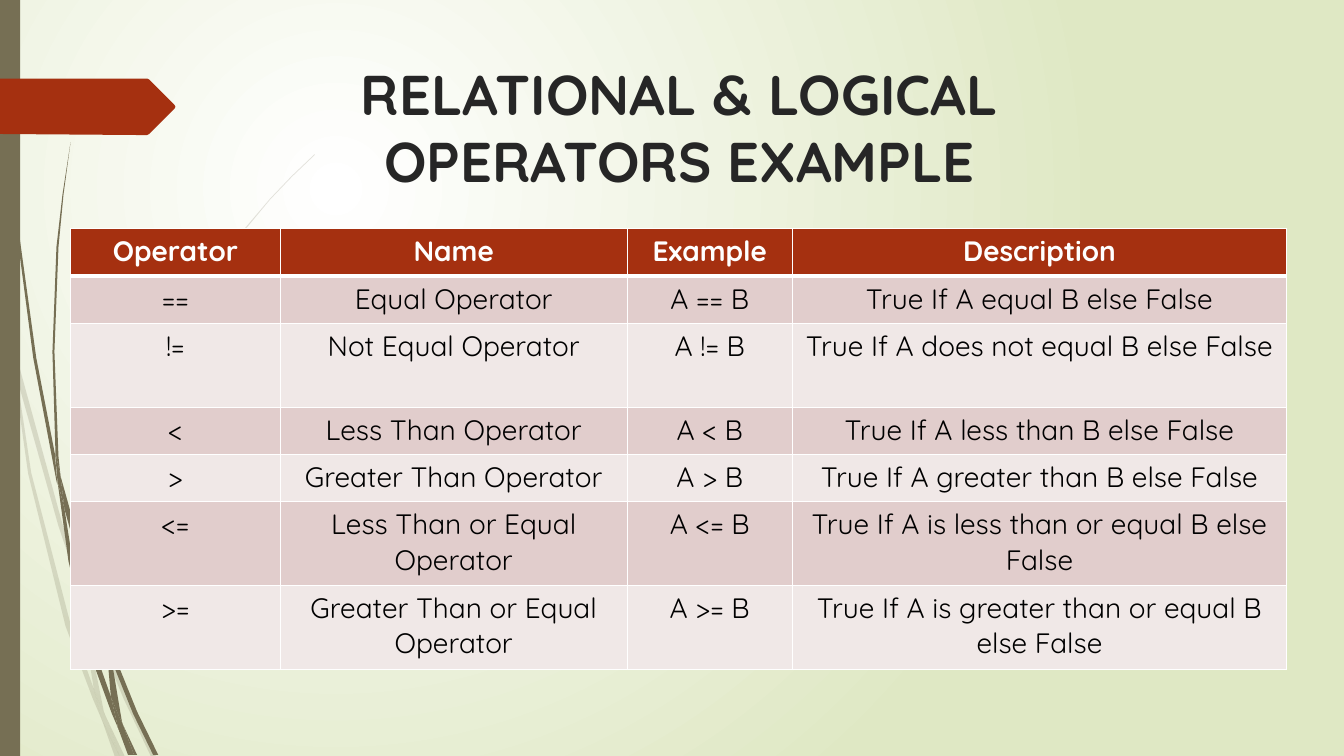
from dataclasses import dataclass

from lxml.etree import SubElement
from pptx import Presentation
from pptx.dml.color import RGBColor
from pptx.enum.shapes import MSO_SHAPE as Preset
from pptx.enum.text import MSO_ANCHOR as Anchor, PP_ALIGN as Align
from pptx.oxml import parse_xml
from pptx.oxml.ns import nsdecls, qn
from pptx.util import Emu, Pt

CELL = 9144
COLUMNS, ROWS = 1333, 750


@dataclass(frozen=True)
class Theme:
    font: str = "Quicksand"
    title_size: int = 40
    table_size: int = 20
    glow: str = "FFFFFF"
    meadow: str = "DFE8C4"
    stem: str = "766F54"
    accent: str = "A53010"
    title: str = "262626"
    header_text: str = "FFFFFF"
    body_text: str = "000000"
    border: str = "FFFFFF"
    bands: tuple = ("E1CDCC", "F0E8E7")
    pale_opacity: int = 20


THEME = Theme()

PALE_STEMS = [
    [(11, 350), (9, 322), (0, 282), (0, 299), (10, 344)],
    [(58, 522), (84, 599), (85, 586), (62, 520), (14, 345), (17, 376)],
    [(92, 607), (88, 596), (88, 610), (123, 694), (150, 751), (155, 751), (127, 692)],
    [(119, 751), (124, 751), (105, 711)],
    [(93, 683), (70, 619), (31, 469), (17, 376), (11, 350), (28, 470), (65, 621),
     (92, 693), (101, 714), (99, 707)],
    [(84, 599), (87, 646), (93, 683), (96, 692), (105, 711), (103, 706), (91, 646),
     (88, 610), (88, 608)],
    [(88, 584), (110, 462), (160, 349), (229, 245), (268, 198), (290, 175), (312, 154),
     (312, 153), (289, 175), (268, 197), (228, 244), (158, 348), (107, 461), (85, 584),
     (85, 586), (88, 596)],
    [(101, 714), (114, 751), (119, 751)],
    [(88, 608), (88, 610), (88, 596), (85, 586), (84, 599)],
    [(96, 692), (93, 683), (99, 707), (101, 714), (119, 751), (105, 711)],
]

DARK_STEMS = [
    [(7, 110), (17, 233), (33, 355), (56, 477), (57, 481), (55, 457), (55, 453),
     (36, 355), (19, 232), (8, 109), (5, 48), (4, 0), (3, 0), (4, 48)],
    [(88, 592), (106, 645), (106, 633), (106, 631), (93, 590), (60, 472), (64, 505)],
    [(113, 649), (110, 641), (111, 656), (132, 708), (152, 749), (157, 749), (136, 706)],
    [(110, 691), (98, 657), (72, 556), (64, 505), (57, 477), (68, 557), (93, 659),
     (111, 708), (117, 722), (116, 717)],
    [(60, 472), (58, 453), (54, 349), (58, 245), (63, 193), (70, 141), (62, 193),
     (56, 245), (52, 349), (55, 449)],
    [(133, 749), (136, 749), (122, 719)],
    [(57, 477), (64, 505), (60, 472), (55, 449), (55, 453)],
    [(111, 633), (125, 552), (158, 476), (205, 406), (231, 374), (245, 359), (261, 344),
     (260, 344), (245, 358), (231, 373), (204, 405), (156, 474), (122, 551), (106, 631),
     (110, 641)],
    [(117, 722), (127, 749), (131, 749)],
    [(106, 645), (110, 691), (116, 706), (122, 719), (121, 716), (111, 656), (109, 651)],
    [(106, 645), (109, 651), (111, 656), (110, 641), (106, 631), (106, 633)],
    [(116, 706), (110, 691), (116, 717), (117, 722), (130, 749), (133, 749), (122, 719)],
]

RIBBON = [(0, 78), (146, 78), (148, 79), (173, 104), (174, 106), (173, 108),
          (148, 133), (146, 134), (136, 134), (0, 133)]

HEADINGS = ["Operator", "Name", "Example", "Description"]
OPERATORS = [
    ("==", "Equal", "equal"),
    ("!=", "Not Equal", "does not equal"),
    ("<", "Less Than", "less than"),
    (">", "Greater Than", "greater than"),
    ("<=", "Less Than or Equal", "is less than or equal"),
    (">=", "Greater Than or Equal", "is greater than or equal"),
]
COLUMN_WIDTHS = [208, 344, 164, 490]
SHORT_ROW, TALL_ROW = 47, 83
ROW_HEIGHTS = [SHORT_ROW, SHORT_ROW, TALL_ROW, SHORT_ROW, SHORT_ROW, TALL_ROW, TALL_ROW]


def grid(*cells):
    return [Emu(cell * CELL) for cell in cells]


def rgb(color):
    return RGBColor.from_string(color)


def paint(shape, color, opacity=100):
    shape.shadow.inherit = False
    shape.fill.solid()
    shape.fill.fore_color.rgb = rgb(color)
    shape.line.fill.background()
    if opacity < 100:
        color_element = shape._element.spPr.find(f"{qn('a:solidFill')}/{qn('a:srgbClr')}")
        SubElement(color_element, qn("a:alpha"), val=str(opacity * 1000))


def add_outline(slide, points, color, opacity=100):
    builder = slide.shapes.build_freeform(*points[0], scale=CELL)
    builder.add_line_segments(points[1:], close=True)
    paint(builder.convert_to_shape(), color, opacity)


def write_text(frame, text, *, size, color, bold=False, align=Align.CENTER):
    frame.word_wrap = True
    paragraph = frame.paragraphs[0]
    paragraph.alignment = align
    run = paragraph.add_run()
    run.text = text
    run.font.name = THEME.font
    run.font.size = Pt(size)
    run.font.bold = bold
    run.font.color.rgb = rgb(color)


def set_borders(cell, **widths):
    properties = cell._tc.get_or_add_tcPr()
    for position, side in enumerate("LRTB"):
        width = Pt(widths.get(side, 1))
        properties.insert(position, parse_xml(
            f'<a:ln{side} {nsdecls("a")} w="{width}"><a:solidFill>'
            f'<a:srgbClr val="{THEME.border}"/></a:solidFill></a:ln{side}>'))


def fill_background(slide):
    fill = slide.background.fill
    fill.gradient()
    for stop, color in zip(fill.gradient_stops, (THEME.glow, THEME.meadow)):
        stop.color.rgb = rgb(color)
    gradient = slide._element.find(f".//{qn('a:gradFill')}")
    gradient.replace(gradient.find(qn("a:lin")), parse_xml(
        f'<a:path {nsdecls("a")} path="circle">'
        '<a:fillToRect l="50000" t="50000" r="100000" b="100000"/></a:path>'))


def add_decoration(slide):
    for points in PALE_STEMS:
        add_outline(slide, points, THEME.stem, THEME.pale_opacity)
    for points in DARK_STEMS:
        add_outline(slide, points, THEME.stem)
    side_bar = slide.shapes.add_shape(Preset.RECTANGLE, *grid(0, 0, 20, ROWS))
    paint(side_bar, THEME.stem)
    add_outline(slide, RIBBON, THEME.accent)


def add_title(slide, text):
    box = slide.shapes.add_textbox(*grid(201, 54, 946, 135))
    box.text_frame.vertical_anchor = Anchor.TOP
    write_text(box.text_frame, text, size=THEME.title_size, color=THEME.title, bold=True)


def add_operator_table(slide):
    body = [(sign, f"{name} Operator", f"A {sign} B", f"True If A {phrase} B else False")
            for sign, name, phrase in OPERATORS]
    contents = [HEADINGS, *body]
    place = grid(70, 227, sum(COLUMN_WIDTHS), sum(ROW_HEIGHTS))
    table = slide.shapes.add_table(len(contents), len(HEADINGS), *place).table
    table.horz_banding = False
    for column, width in zip(table.columns, grid(*COLUMN_WIDTHS)):
        column.width = width
    for index, (row, height, texts) in enumerate(zip(table.rows, grid(*ROW_HEIGHTS), contents)):
        row.height = height
        header = index == 0
        for cell, text in zip(row.cells, texts):
            cell.fill.solid()
            cell.fill.fore_color.rgb = rgb(THEME.accent if header else THEME.bands[(index - 1) % 2])
            set_borders(cell, T=3 if index == 1 else 1, B=3 if header else 1)
            write_text(cell.text_frame, text, size=THEME.table_size, bold=header,
                       color=THEME.header_text if header else THEME.body_text)


def main():
    presentation = Presentation()
    presentation.slide_width, presentation.slide_height = grid(COLUMNS, ROWS)
    slide = presentation.slides.add_slide(presentation.slide_layouts[6])
    fill_background(slide)
    add_decoration(slide)
    add_title(slide, "RELATIONAL & LOGICAL OPERATORS EXAMPLE")
    add_operator_table(slide)
    presentation.save("out.pptx")


if __name__ == "__main__":
    main()
